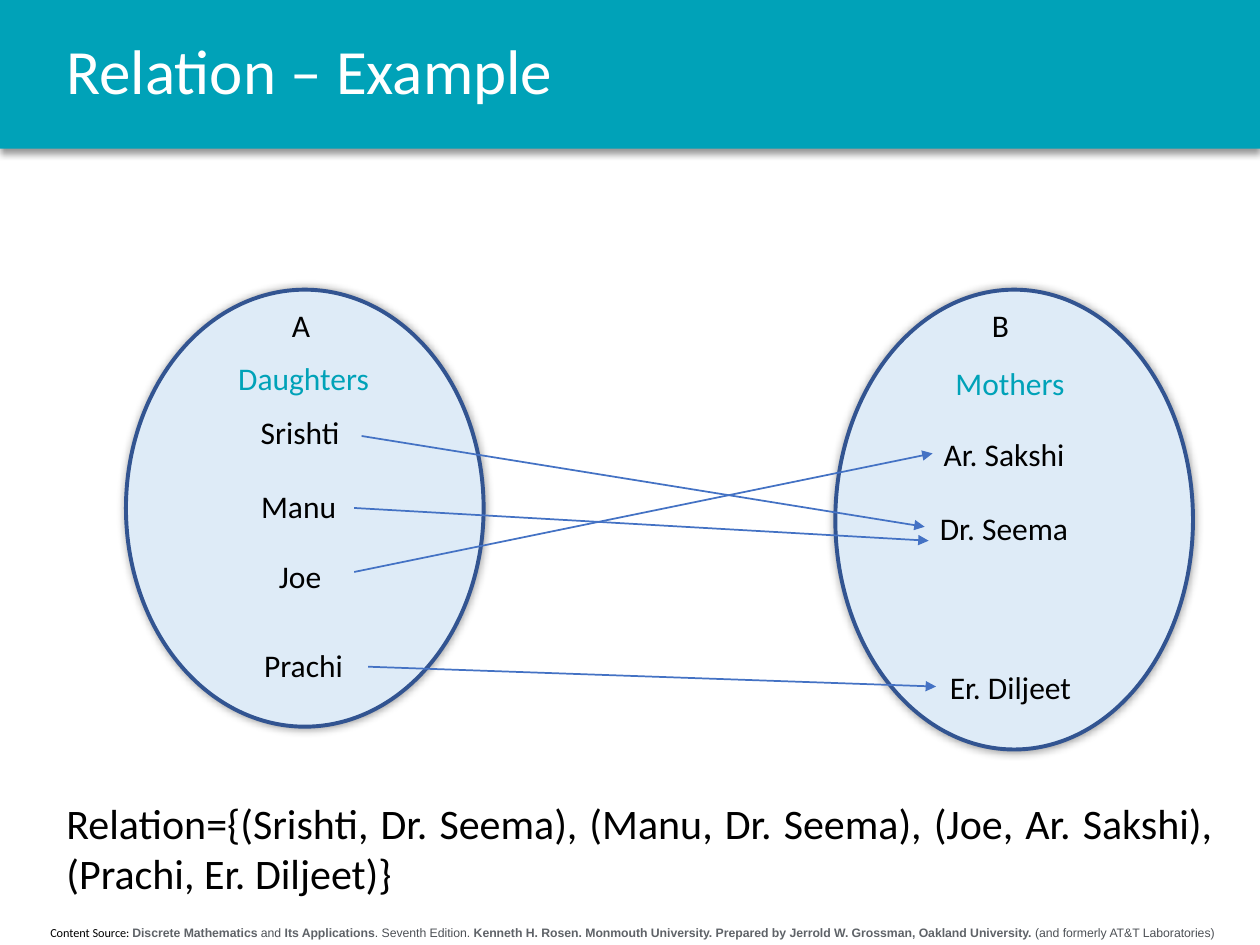
from dataclasses import dataclass

import pptx
import pptx.util
from lxml import etree
from pptx.dml.color import RGBColor
from pptx.enum.shapes import MSO_CONNECTOR, MSO_SHAPE
from pptx.enum.text import MSO_ANCHOR, PP_ALIGN
from pptx.oxml.ns import qn
from pptx.util import Cm, Pt

TEAL = RGBColor(0x00, 0xA2, 0xB8)
WHITE = RGBColor(0xFF, 0xFF, 0xFF)
BLACK = RGBColor(0x00, 0x00, 0x00)
PALE_BLUE = RGBColor(0xDE, 0xEB, 0xF7)
OUTLINE = RGBColor(0x32, 0x54, 0x91)
ARROW_BLUE = RGBColor(0x44, 0x72, 0xC4)
GREY = RGBColor(0x5F, 0x63, 0x68)
DARK_GREY = RGBColor(0x4D, 0x51, 0x56)

LABEL_WIDTH, LABEL_HEIGHT = 3.5, 1.02


# Positions and sizes below are in centimetres
@dataclass
class SetOval:
    left: float
    top: float
    width: float
    height: float


@dataclass
class Label:
    text: str
    centre: float
    top: float
    color: RGBColor = BLACK


@dataclass
class Arrow:
    x1: float
    y1: float
    x2: float
    y2: float


@dataclass
class Span:
    text: str
    color: RGBColor
    bold: bool = False
    font: str = "Arial"


OVALS = [SetOval(2.54, 5.84, 7.21, 8.81), SetOval(16.84, 5.84, 7.21, 9.27)]

LABELS = [
    Label("A", 6.07, 6.05),
    Label("Daughters", 6.12, 7.11, TEAL),
    Label("Srishti", 6.05, 8.2),
    Label("Manu", 6.02, 9.7),
    Label("Joe", 6.05, 11.1),
    Label("Prachi", 6.12, 12.9),
    Label("B", 20.17, 6.05),
    Label("Mothers", 20.36, 7.21, TEAL),
    Label("Ar. Sakshi", 20.24, 8.64),
    Label("Dr. Seema", 20.24, 10.13),
    Label("Er. Diljeet", 20.37, 13.34),
]

ARROWS = [
    Arrow(7.29, 8.79, 18.64, 10.62),
    Arrow(7.14, 10.24, 18.72, 10.9),
    Arrow(7.14, 11.53, 18.8, 9.14),
    Arrow(7.42, 13.44, 18.87, 13.84),
]

SOURCE = [
    Span("Content Source: ", BLACK, font="Calibri"),
    Span("Discrete Mathematics", GREY, True),
    Span(" and ", DARK_GREY),
    Span("Its Applications", GREY, True),
    Span(". Seventh Edition. ", DARK_GREY),
    Span("Kenneth H. Rosen. Monmouth University. Prepared by Jerrold W. Grossman, "
         "Oakland University.", GREY, True),
    Span(" (and formerly AT&T Laboratories)", DARK_GREY),
]


def add_shadow(sp, blur: float, dist: float, angle: int) -> None:
    sp.shadow.inherit = False
    effects = sp._element.spPr.find(qn("a:effectLst"))
    shadow = etree.SubElement(
        effects, qn("a:outerShdw"), blurRad=str(Pt(blur)), dist=str(Pt(dist)),
        dir=str(angle * 60000), algn="ctr", rotWithShape="0")
    color = etree.SubElement(shadow, qn("a:srgbClr"), val="000000")
    etree.SubElement(color, qn("a:alpha"), val="40000")


def style_run(r, size: float, color: RGBColor, font: str = "Calibri", bold: bool = False) -> None:
    r.font.size = Pt(size)
    r.font.name = font
    r.font.bold = bold
    r.font.color.rgb = color


def add_text(s, text: str, left: float, top: float, width: float, height: float,
             size: float, color: RGBColor = BLACK, align=PP_ALIGN.LEFT):
    tf = s.shapes.add_textbox(Cm(left), Cm(top), Cm(width), Cm(height)).text_frame
    tf.word_wrap = True
    p = tf.paragraphs[0]
    p.text = text
    p.alignment = align
    for r in p.runs:
        style_run(r, size, color)
    return tf


def add_oval(s, oval: SetOval) -> None:
    sp = s.shapes.add_shape(MSO_SHAPE.OVAL, Cm(oval.left), Cm(oval.top),
                            Cm(oval.width), Cm(oval.height))
    sp.fill.solid()
    sp.fill.fore_color.rgb = PALE_BLUE
    sp.line.color.rgb = OUTLINE
    sp.line.width = Pt(2.25)
    add_shadow(sp, 5, 0, 0)


def add_label(s, label: Label) -> None:
    add_text(s, label.text, label.centre - LABEL_WIDTH / 2, label.top,
             LABEL_WIDTH, LABEL_HEIGHT, 18, label.color, PP_ALIGN.CENTER)


def add_arrow(s, arrow: Arrow) -> None:
    line = s.shapes.add_connector(MSO_CONNECTOR.STRAIGHT, Cm(arrow.x1), Cm(arrow.y1),
                                  Cm(arrow.x2), Cm(arrow.y2))
    line.line.color.rgb = ARROW_BLUE
    line.line.width = Pt(1)
    etree.SubElement(line.line._get_or_add_ln(), qn("a:tailEnd"), type="triangle")
    etree.SubElement(line._element.spPr, qn("a:effectLst"))


def main() -> None:
    prs = pptx.Presentation()
    prs.slide_width, prs.slide_height = Cm(25.4), Cm(19.05)
    s = prs.slides.add_slide(prs.slide_layouts[6])

    # Header band
    band = s.shapes.add_shape(MSO_SHAPE.RECTANGLE, 0, 0, prs.slide_width, Cm(3))
    band.fill.solid()
    band.fill.fore_color.rgb = TEAL
    band.line.fill.background()
    add_shadow(band, 4, 3, 90)

    # Source line
    tf = add_text(s, "", 0.1, 18.52, 25.3, 0.56, 7, align=PP_ALIGN.CENTER)
    for span in SOURCE:
        r = tf.paragraphs[0].add_run()
        r.text = span.text
        style_run(r, 7, span.color, span.font, span.bold)

    # Title
    tf = add_text(s, "Relation – Example", 1.09, 0, 23.62, 3, 36, WHITE)
    tf.vertical_anchor = MSO_ANCHOR.MIDDLE
    tf.paragraphs[0].line_spacing = 0.9

    # Sets, their members and the mapping
    for oval in OVALS:
        add_oval(s, oval)
    for label in LABELS:
        add_label(s, label)
    for arrow in ARROWS:
        add_arrow(s, arrow)

    # The relation as a set of pairs
    add_text(s, "Relation={(Srishti, Dr. Seema), (Manu, Dr. Seema), (Joe, Ar. Sakshi), "
             "(Prachi, Er. Diljeet)}", 1.09, 15.95, 23.62, 2.31, 24, align=PP_ALIGN.JUSTIFY)

    prs.save("out.pptx")


if __name__ == "__main__":
    main()
